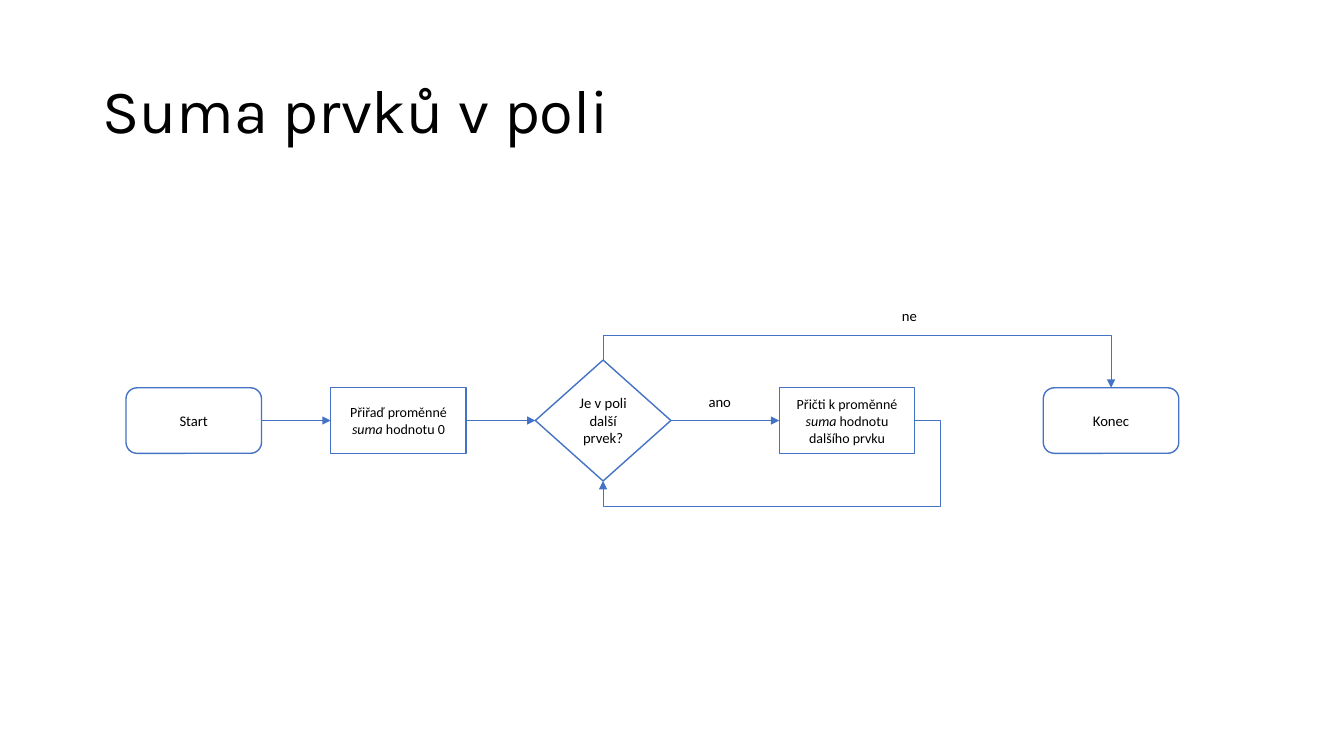
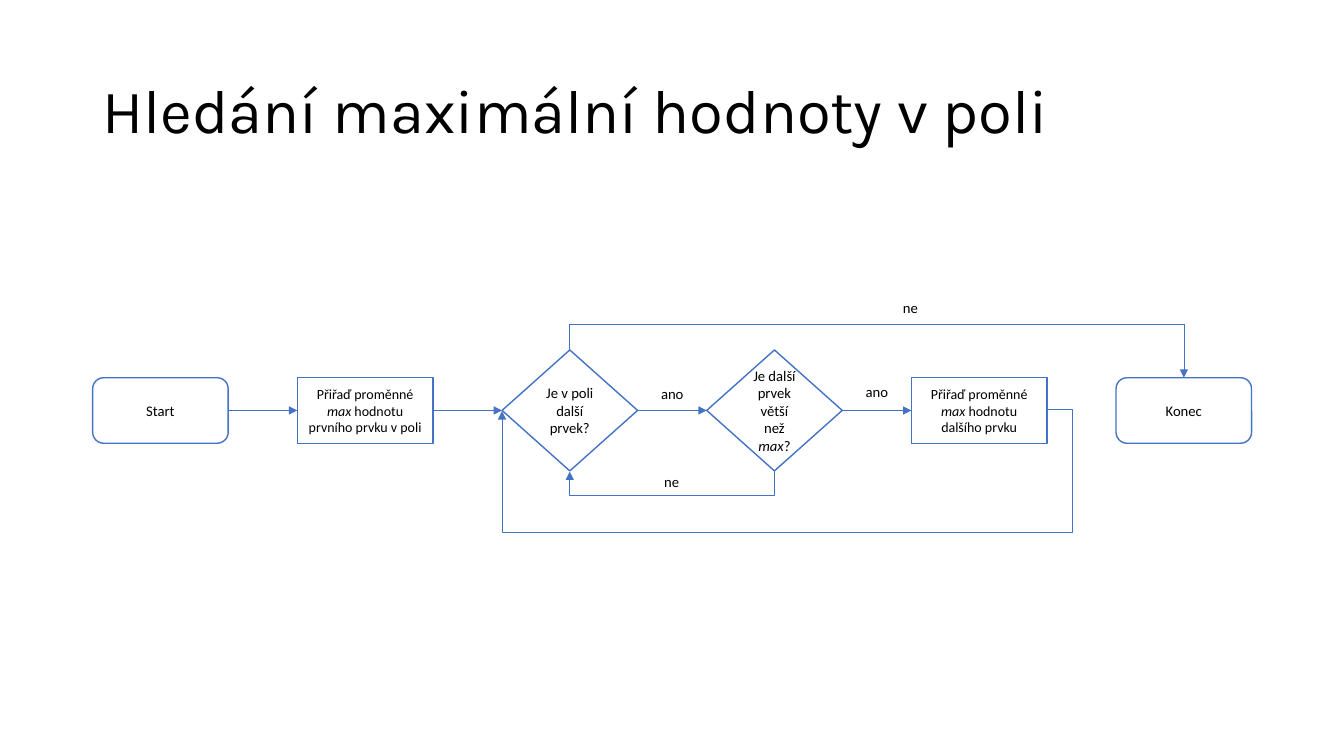
from dataclasses import dataclass

from lxml.etree import SubElement
from pptx import Presentation
from pptx.dml.color import RGBColor
from pptx.enum.shapes import MSO_CONNECTOR as Connector, MSO_SHAPE as Preset
from pptx.enum.text import MSO_ANCHOR as Anchor, MSO_AUTO_SIZE as AutoSize, PP_ALIGN as Align
from pptx.oxml.ns import qn
from pptx.util import Pt


@dataclass(frozen=True)
class Theme:
    """Colours, fonts, type sizes and measures in points."""
    text: RGBColor = RGBColor(0x00, 0x00, 0x00)
    paper: RGBColor = RGBColor(0xFF, 0xFF, 0xFF)
    accent: RGBColor = RGBColor(0x44, 0x72, 0xC4)
    title_font: str = "Karla"
    body_font: str = "Calibri"
    title_size: float = 44
    body_size: float = 10.5
    process_size: float = 10
    outline: float = 1
    arrow: float = 0.5
    node_width: float = 96.8
    node_height: float = 46.8
    decision_height: float = 86.4
    pitch: float = 146.2
    clearance: float = 18


THEME = Theme()
TITLE_BOX = (66, 28.8, 828, 104.4)
TOP, LEFT, BOTTOM, RIGHT = range(4)


def format_run(run, font_name, size, italic=False):
    """Set the font of one run."""
    font = run.font
    font.name, font.size, font.italic = font_name, Pt(size), italic
    font.color.rgb = THEME.text


def draw_title(slide, box, text):
    """Place the slide title in its box."""
    frame = slide.shapes.add_textbox(*map(Pt, box)).text_frame
    frame.word_wrap = True
    frame.vertical_anchor = Anchor.MIDDLE
    frame.text = text
    paragraph = frame.paragraphs[0]
    paragraph.line_spacing = 0.9
    format_run(paragraph.runs[0], THEME.title_font, THEME.title_size)


def draw_node(slide, preset, left, axis, texts):
    """Place a node centred on the axis; every second text is italic."""
    height = THEME.decision_height if preset == Preset.DIAMOND else THEME.node_height
    size = THEME.process_size if preset == Preset.RECTANGLE else THEME.body_size
    node = slide.shapes.add_shape(
        preset, Pt(left), Pt(axis - height / 2), Pt(THEME.node_width), Pt(height))
    node.shadow.inherit = False
    node.fill.solid()
    node.fill.fore_color.rgb = THEME.paper
    node.line.color.rgb = THEME.accent
    node.line.width = Pt(THEME.outline)
    frame = node.text_frame
    frame.word_wrap = True
    frame.vertical_anchor = Anchor.MIDDLE
    paragraph = frame.paragraphs[0]
    paragraph.alignment = Align.CENTER
    for index, text in enumerate(texts):
        run = paragraph.add_run()
        run.text = text
        format_run(run, THEME.body_font, size, index % 2 == 1)
    return node


def draw_label(slide, left, top, text):
    """Place a branch label."""
    box = slide.shapes.add_textbox(Pt(left), Pt(top), Pt(10 + 8 * len(text)), Pt(20))
    frame = box.text_frame
    frame.word_wrap = False
    frame.auto_size = AutoSize.SHAPE_TO_FIT_TEXT
    frame.text = text
    format_run(frame.paragraphs[0].runs[0], THEME.body_font, THEME.body_size)


def draw_arrow(slide, source, target, source_site=RIGHT, target_site=LEFT,
               kind=Connector.STRAIGHT):
    """Join two nodes with an arrow."""
    arrow = slide.shapes.add_connector(kind, 0, 0, 0, 0)
    arrow.begin_connect(source, source_site)
    arrow.end_connect(target, target_site)
    arrow.line.color.rgb = THEME.accent
    arrow.line.width = Pt(THEME.arrow)
    SubElement(arrow.line._get_or_add_ln(), qn("a:tailEnd"), type="triangle")
    SubElement(arrow.element.spPr, qn("a:effectLst"))
    return arrow


def bend_arrow(arrow, segments, width, height, ratios, rotation=0, flip=False):
    """Shape an elbow arrow around the middle of its two ends."""
    middle_x = (arrow.begin_x + arrow.end_x) / 2
    middle_y = (arrow.begin_y + arrow.end_y) / 2
    arrow.left, arrow.top = int(middle_x - width / 2), int(middle_y - height / 2)
    arrow.width, arrow.height = int(width), int(height)
    transform = arrow.element.spPr.find(qn("a:xfrm"))
    transform.set("rot", str(rotation * 60000))
    transform.set("flipH", str(int(flip)))
    transform.set("flipV", "0")
    geometry = arrow.element.spPr.find(qn("a:prstGeom"))
    geometry.set("prst", f"bentConnector{segments}")
    adjustments = geometry.find(qn("a:avLst"))
    for number, ratio in enumerate(ratios, 1):
        SubElement(adjustments, qn("a:gd"), name=f"adj{number}",
                   fmla=f"val {round(ratio * 100000)}")


def draw_elbow(slide, source, target, source_site, target_site, drop=THEME.clearance):
    """Lead an elbow arrow over or under the row of nodes."""
    arrow = draw_arrow(slide, source, target, source_site, target_site, Connector.ELBOW)
    across = abs(arrow.end_x - arrow.begin_x)
    down = max(arrow.end_y - arrow.begin_y, Pt(1))
    gap = Pt(THEME.clearance)
    if source_site == TOP:
        bend_arrow(arrow, 3, down, across, [-gap / down], 270, True)
    elif source_site == BOTTOM:
        bend_arrow(arrow, 3, down, across, [gap / down], 90)
    elif target_site == BOTTOM:
        bend_arrow(arrow, 4, across, down, [-gap / across, 1 + gap / down], flip=True)
    else:
        bend_arrow(arrow, 5, across, down, [-gap / across, Pt(drop) / down, 1], flip=True)


def draw_flow(slide, left, axis, nodes, labels):
    """Place a row of nodes, its straight arrows, exit arrow and labels."""
    row = [draw_node(slide, preset, left + offset, axis, texts)
           for preset, offset, texts in nodes]
    for source, target in zip(row[:-2], row[1:-1]):
        draw_arrow(slide, source, target)
    draw_elbow(slide, row[2], row[-1], TOP, TOP)
    for offset, rise, text in labels:
        draw_label(slide, left + offset, axis + rise, text)
    return row


def build_sum_slide(slide):
    """Build the flowchart that sums an array."""
    draw_title(slide, TITLE_BOX, "Suma prvků v poli")
    nodes = [
        (Preset.ROUNDED_RECTANGLE, 0, ["Start"]),
        (Preset.RECTANGLE, THEME.pitch, ["Přiřaď proměnné ", "suma", " hodnotu 0"]),
        (Preset.DIAMOND, 2 * THEME.pitch, ["Je v poli další prvek?"]),
        (Preset.RECTANGLE, 466.6,
         ["Přičti k proměnné ", "suma", " hodnotu dalšího prvku"]),
        (Preset.ROUNDED_RECTANGLE, 655.2, ["Konec"]),
    ]
    labels = [(547.2, -85, "ne"), (409, -23.2, "ano")]
    row = draw_flow(slide, 90, 300.4, nodes, labels)
    draw_elbow(slide, row[3], row[2], RIGHT, BOTTOM)


def build_maximum_slide(slide):
    """Build the flowchart that finds the maximum of an array."""
    draw_title(slide, TITLE_BOX, "Hledání maximální hodnoty v poli")
    steps = [
        (Preset.ROUNDED_RECTANGLE, ["Start"]),
        (Preset.RECTANGLE, ["Přiřaď proměnné ", "max", " hodnotu prvního prvku v poli"]),
        (Preset.DIAMOND, ["Je v poli další prvek?"]),
        (Preset.DIAMOND, ["Je další prvek větší než ", "max", "?"]),
        (Preset.RECTANGLE, ["Přiřaď proměnné ", "max", " hodnotu dalšího prvku"]),
        (Preset.ROUNDED_RECTANGLE, ["Konec"]),
    ]
    nodes = [(preset, index * THEME.pitch, texts)
             for index, (preset, texts) in enumerate(steps)]
    labels = [(571.7, -83, "ne"), (398.9, -21.8, "ano"),
              (401.1, 40.9, "ne"), (545.1, -23.2, "ano")]
    row = draw_flow(slide, 66.2, 293.2, nodes, labels)
    draw_elbow(slide, row[4], row[2], RIGHT, LEFT, 88.4)
    draw_elbow(slide, row[3], row[2], BOTTOM, BOTTOM)


def main():
    """Build and save the presentation."""
    presentation = Presentation()
    presentation.slide_width, presentation.slide_height = Pt(960), Pt(540)
    for build in (build_sum_slide, build_maximum_slide):
        build(presentation.slides.add_slide(presentation.slide_layouts[6]))
    presentation.save("out.pptx")


if __name__ == "__main__":
    main()
